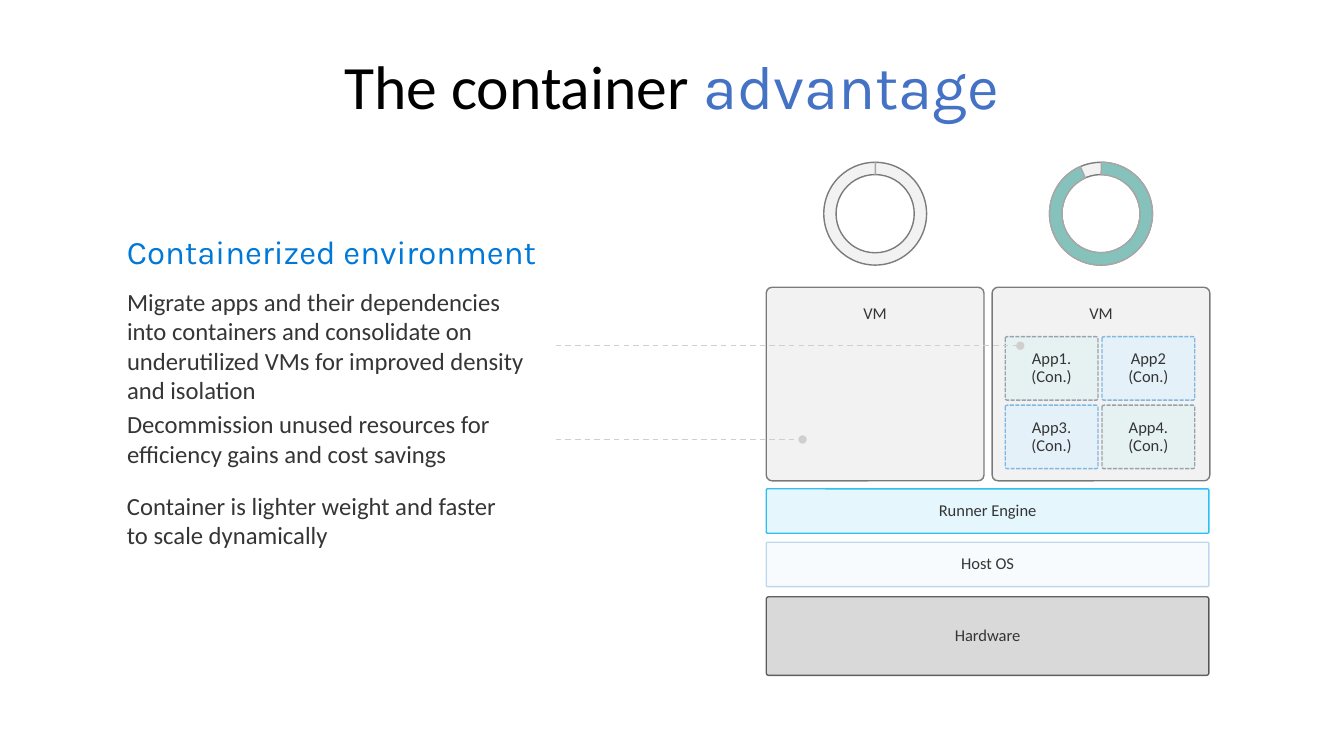
import pptx
import pptx.util
import pptx.dml.color
from pptx.enum.dml import MSO_LINE
from pptx.enum.shapes import MSO_CONNECTOR, MSO_SHAPE
from pptx.enum.text import MSO_ANCHOR, MSO_AUTO_SIZE, PP_ALIGN
from pptx.oxml.ns import qn
from lxml import etree

PX = 9144
INK = "353535"


def paint(fill, color, alpha=100):
    fill.solid()
    fill.fore_color.rgb = pptx.dml.color.RGBColor.from_string(color)
    if alpha < 100:
        for clr in fill._xPr.find(qn("a:solidFill")):
            etree.SubElement(clr, qn("a:alpha")).set("val", str(alpha * 1000))


def write(s, text, size, font="Calibri", color=INK, align=PP_ALIGN.LEFT, anchor=MSO_ANCHOR.MIDDLE,
          inset=(16, 16), spacing=None, after=None, grow=False, accent=None):
    tf = s.text_frame
    tf.word_wrap = True
    tf.auto_size = MSO_AUTO_SIZE.SHAPE_TO_FIT_TEXT if grow else MSO_AUTO_SIZE.NONE
    tf.vertical_anchor = anchor
    tf.margin_left = tf.margin_right = inset[0] * PX
    tf.margin_top = tf.margin_bottom = inset[1] * PX
    for i, line in enumerate(text.split("\n")):
        p = tf.add_paragraph() if i else tf.paragraphs[0]
        p.alignment = align
        if spacing:
            p.line_spacing = spacing
        if after:
            p.space_after = pptx.util.Pt(after)
        for words, face, ink in [(line, font, color)] + ([accent] if accent else []):
            r = p.add_run()
            r.text = words
            r.font.size = pptx.util.Pt(size)
            r.font.name = face
            paint(r.font.fill, ink)


prs = pptx.Presentation()
prs.slide_width, prs.slide_height = 1333 * PX, 750 * PX
slide = prs.slides.add_slide(prs.slide_layouts[6])
shapes = slide.shapes

title = shapes.add_textbox(29 * PX, 40 * PX, 1275 * PX, 98 * PX)
write(title, "The container ", 44, color="000000", align=PP_ALIGN.CENTER, inset=(10, 5),
      spacing=0.9, accent=("advantage", "Karla", "4472C4"))

layers = [
    ("Hardware", 592, 78, "000000", 15, 60),
    ("Host OS", 538, 44, "84B4E0", 5, 50),
    ("Runner Engine", 485, 44, "00B0F0", 10, 80),
]
boxes = [(text, 760, y, 439, h, (color, fill_alpha), (color, line_alpha), None, MSO_ANCHOR.MIDDLE)
         for text, y, h, color, fill_alpha, line_alpha in layers]
boxes += [("VM", 760 + 224 * i, 285, 216, 192, ("000000", 5), ("000000", 50), None, MSO_ANCHOR.TOP)
          for i in range(2)]
for i, app in enumerate(["App1.", "App2", "App3.", "App4."]):
    row, col = divmod(i, 2)
    fill, line = (("E5F2F1",), ("44546A", 50)) if row == col else (("E5F1F9",), ("7FB8E2",))
    boxes.append((app + "\n(Con.)", 997 + 96 * col, 334 + 68 * row, 92, 63, fill, line,
                  MSO_LINE.SQUARE_DOT, MSO_ANCHOR.MIDDLE))

for text, x, y, w, h, fill, line, dash, anchor in boxes:
    s = shapes.add_shape(MSO_SHAPE.ROUNDED_RECTANGLE, x * PX, y * PX, w * PX, h * PX)
    s.shadow.inherit = False
    s.adjustments[0] = 0.03
    paint(s.fill, *fill)
    paint(s.line.fill, *line)
    s.line.width = pptx.util.Pt(1)
    if dash:
        s.line.dash_style = dash
    write(s, text, 11.8, align=PP_ALIGN.CENTER, anchor=anchor, inset=(20, 16), spacing=0.9)

for i, start in enumerate([53.79, 68.19]):
    gauge = shapes.add_group_shape()
    rings = [
        (MSO_SHAPE.DONUT, [0.12], ("000000", 5), ("000000", 50)),
        (MSO_SHAPE.BLOCK_ARC, [start, 53.83, 0.12], ("84C2BB",), ("A7A7A7",)),
    ]
    for kind, adjustments, fill, line in rings:
        s = gauge.shapes.add_shape(kind, (817 + 224 * i) * PX, 161 * PX, 102 * PX, 102 * PX)
        s.shadow.inherit = False
        s.element.spPr.find(qn("a:xfrm")).set("flipV", "1")
        for n, value in enumerate(adjustments):
            s.adjustments[n] = value
        paint(s.fill, *fill)
        paint(s.line.fill, *line)
        s.line.width = pptx.util.Pt(1)

heading = shapes.add_textbox(110 * PX, 214 * PX, 574 * PX, 72 * PX)
write(heading, "Containerized environment", 23.5, font="Karla", color="0078D7",
      anchor=MSO_ANCHOR.TOP, after=23.5, grow=True)

benefits = [
    ("Migrate apps and their dependencies into containers and consolidate on "
     "underutilized VMs for improved density and isolation", 268, 428, 150),
    ("Decommission unused resources for efficiency gains and cost savings", 389, 469, 92),
    ("Container is lighter weight and faster to scale dynamically", 470, 413, 92),
]
for text, y, w, h in benefits:
    s = shapes.add_textbox(110 * PX, y * PX, w * PX, h * PX)
    write(s, text, 17.6, grow=True)

for x, y in [(1012, 343), (796, 436)]:
    c = shapes.add_connector(MSO_CONNECTOR.STRAIGHT, 551 * PX, y * PX, x * PX, y * PX)
    paint(c.line.fill, "D0CECE")
    c.line.width = pptx.util.Pt(1)
    c.line.dash_style = MSO_LINE.DASH
    etree.SubElement(c.line._get_or_add_ln(), qn("a:tailEnd")).set("type", "oval")
    etree.SubElement(c.element.spPr, qn("a:effectLst"))

prs.save("out.pptx")
